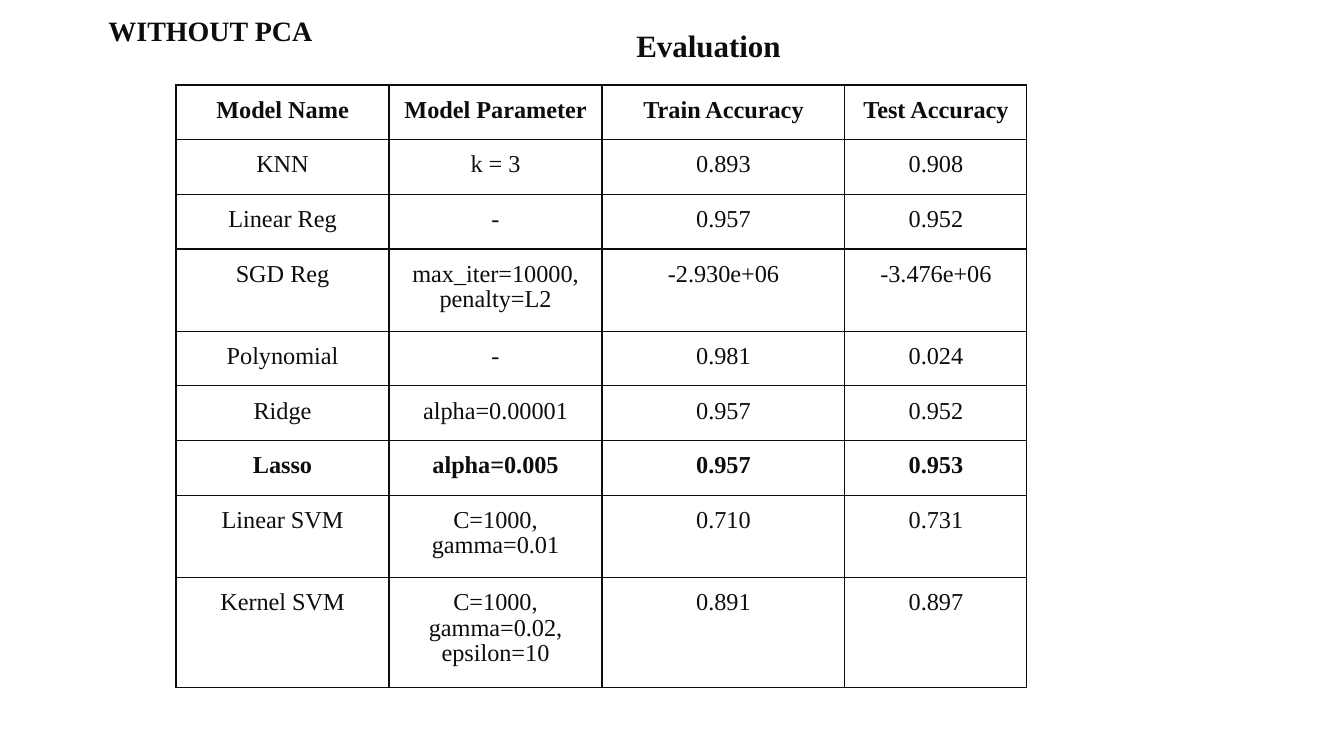
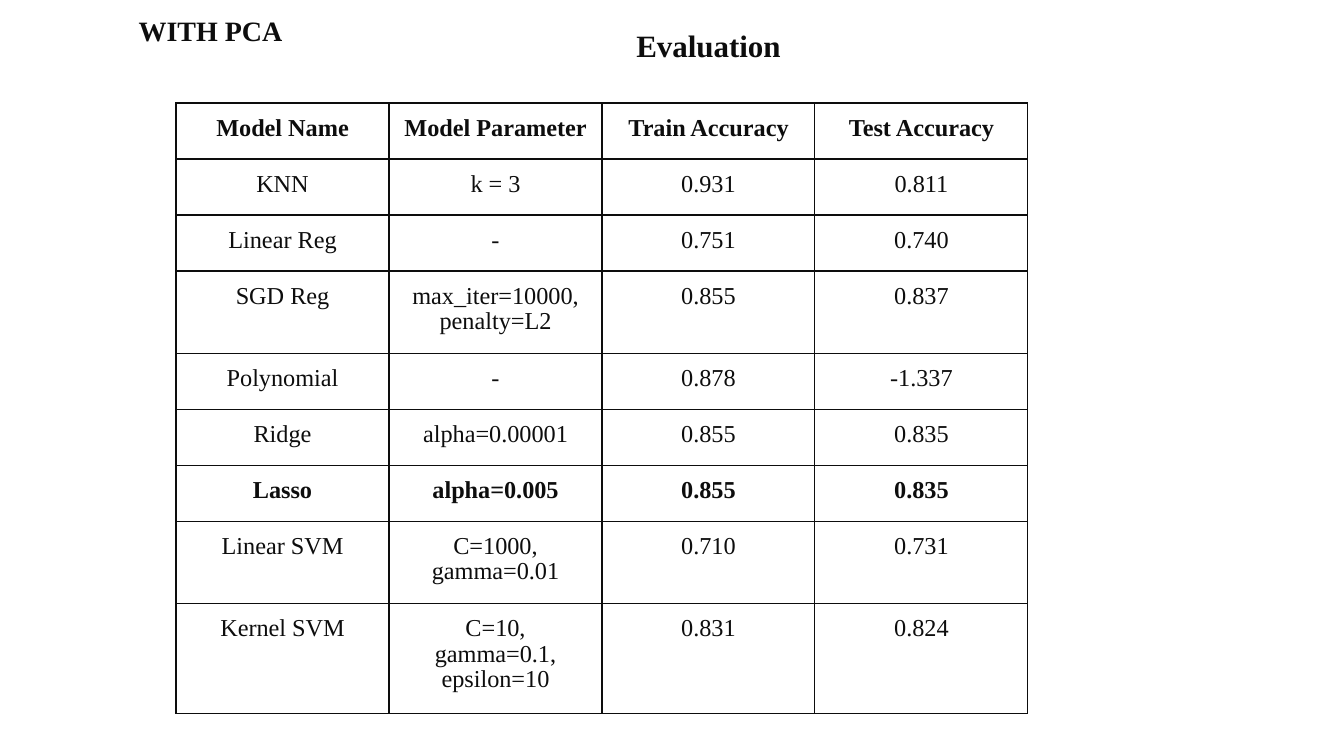
from lxml import etree
from pptx import Presentation
from pptx.dml.color import RGBColor
from pptx.enum.text import MSO_ANCHOR, PP_ALIGN
from pptx.oxml.ns import qn
from pptx.util import Emu, Pt

CENTER = PP_ALIGN.CENTER
TOP, MIDDLE = MSO_ANCHOR.TOP, MSO_ANCHOR.MIDDLE
EMU_PER_PX = 914400 / 134.4
FONT, INK = "Times New Roman", "0D0D0D"
BORDER_WIDTH = Pt(0.67)

PAGE_SIZE = (1344, 756)
TITLE_BOX = (129, 20, 1159, 50)
LABEL_BOX = (40, 1, 341, 67)
TABLE_LEFT = 176
CELL_MARGINS = {"margin_left": 14, "margin_right": 14, "margin_top": 13, "margin_bottom": 14}

HEADER = ("Model Name", "Model Parameter", "Train Accuracy", "Test Accuracy")
MODELS = ("KNN", "Linear Reg", "SGD Reg", "Polynomial", "Ridge", "Lasso", "Linear SVM", "Kernel SVM")
PARAMETERS = ("k = 3", "-", "max_iter=10000, penalty=L2", "-", "alpha=0.00001", "alpha=0.005",
              "C=1000, gamma=0.01")
BOLD_ROWS = ("Model Name", "Lasso")

EVALUATIONS = (
    {
        "label": "WITHOUT PCA",
        "top": 85,
        "widths": (213, 213, 243, 182),
        "heights": (51, 51, 51, 78, 51, 51, 51, 78, 105),
        "kernel": "C=1000, gamma=0.02, epsilon=10",
        "train": ("0.893", "0.957", "-2.930e+06", "0.981", "0.957", "0.957", "0.710", "0.891"),
        "test": ("0.908", "0.952", "-3.476e+06", "0.024", "0.952", "0.953", "0.731", "0.897"),
    },
    {
        "label": "WITH PCA",
        "top": 103,
        "widths": (213,) * 4,
        "heights": (56,) * 9,
        "kernel": "C=10, gamma=0.1, epsilon=10",
        "train": ("0.931", "0.751", "0.855", "0.878", "0.855", "0.855", "0.710", "0.831"),
        "test": ("0.811", "0.740", "0.837", "-1.337", "0.835", "0.835", "0.731", "0.824"),
    },
)


def px(length):
    """Turn pixels into EMU."""
    return Emu(round(length * EMU_PER_PX))


def color(value):
    """Turn a hex string into a colour."""
    return RGBColor.from_string(value)


def set_all(target, values):
    """Set every attribute named in a dict."""
    for name, value in values.items():
        setattr(target, name, value)


def write(frame, text, size, bold=True):
    """Write one centred paragraph in the deck's font."""
    para = frame.paragraphs[0]
    para.alignment = CENTER
    span = para.add_run()
    span.text = text
    set_all(span.font, {"name": FONT, "size": Pt(size), "bold": bold})
    span.font.color.rgb = color(INK)
    return para


def add_heading(page, area, text, size, anchor, margins):
    """Add a bold centred text box with side and vertical margins."""
    frame = page.shapes.add_textbox(*map(px, area)).text_frame
    side, vertical = map(px, margins)
    set_all(frame, {"word_wrap": True, "vertical_anchor": anchor,
                    "margin_left": side, "margin_right": side,
                    "margin_top": vertical, "margin_bottom": vertical})
    write(frame, text, size)


def add_borders(cell):
    """Draw a thin line on all four sides of a cell."""
    properties = cell._tc.get_or_add_tcPr()
    for side in ("a:lnL", "a:lnR", "a:lnT", "a:lnB"):
        line = etree.SubElement(properties, qn(side), w=str(BORDER_WIDTH))
        fill = etree.SubElement(line, qn("a:solidFill"))
        etree.SubElement(fill, qn("a:srgbClr"), val=INK)


def add_scores(page, left, top, evaluation):
    """Add the table of model accuracies."""
    widths, heights = evaluation["widths"], evaluation["heights"]
    rows = [HEADER, *zip(MODELS, PARAMETERS + (evaluation["kernel"],),
                         evaluation["train"], evaluation["test"])]
    area = (left, top, sum(widths), sum(heights))
    table = page.shapes.add_table(len(rows), len(HEADER), *map(px, area)).table
    set_all(table, {"first_row": False, "horz_banding": False})
    for column, width in zip(table.columns, widths):
        column.width = px(width)
    for row, height, texts in zip(table.rows, heights, rows):
        row.height = px(height)
        for cell, text in zip(row.cells, texts):
            set_all(cell, {name: px(margin) for name, margin in CELL_MARGINS.items()})
            add_borders(cell)
            cell.fill.background()
            para = write(cell.text_frame, text, 13, texts[0] in BOLD_ROWS)
            para.line_spacing = 0.95


def add_evaluation(deck, evaluation):
    """Add one evaluation slide."""
    page = deck.slides.add_slide(deck.slide_layouts[6])
    add_heading(page, TITLE_BOX, "Evaluation", 16.6, MIDDLE, (9, 5))
    add_scores(page, TABLE_LEFT, evaluation["top"], evaluation)
    add_heading(page, LABEL_BOX, evaluation["label"], 15, TOP, (13, 13))


def main():
    """Build and save the deck."""
    deck = Presentation()
    deck.slide_width, deck.slide_height = map(px, PAGE_SIZE)
    for evaluation in EVALUATIONS:
        add_evaluation(deck, evaluation)
    deck.save("out.pptx")


if __name__ == "__main__":
    main()
